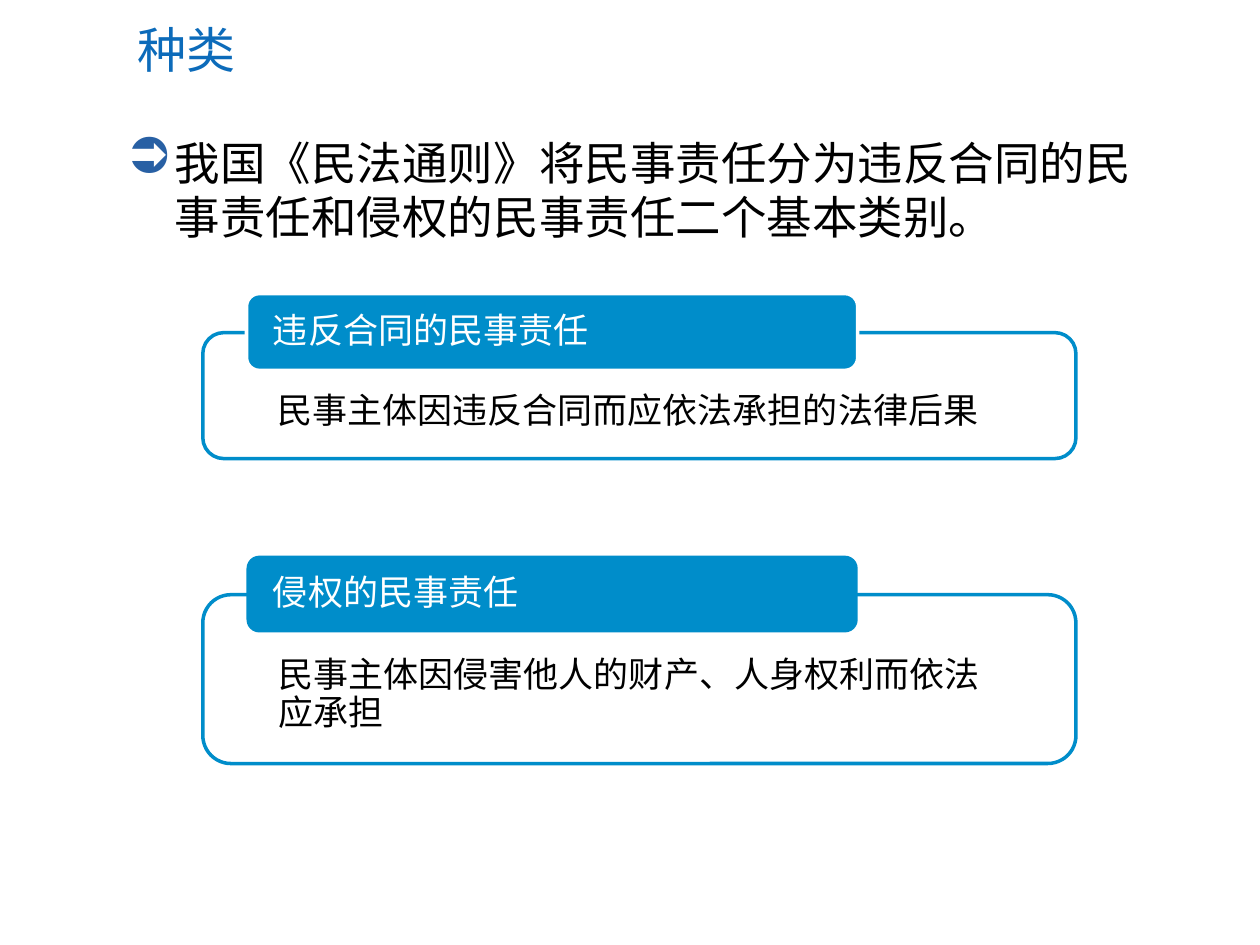
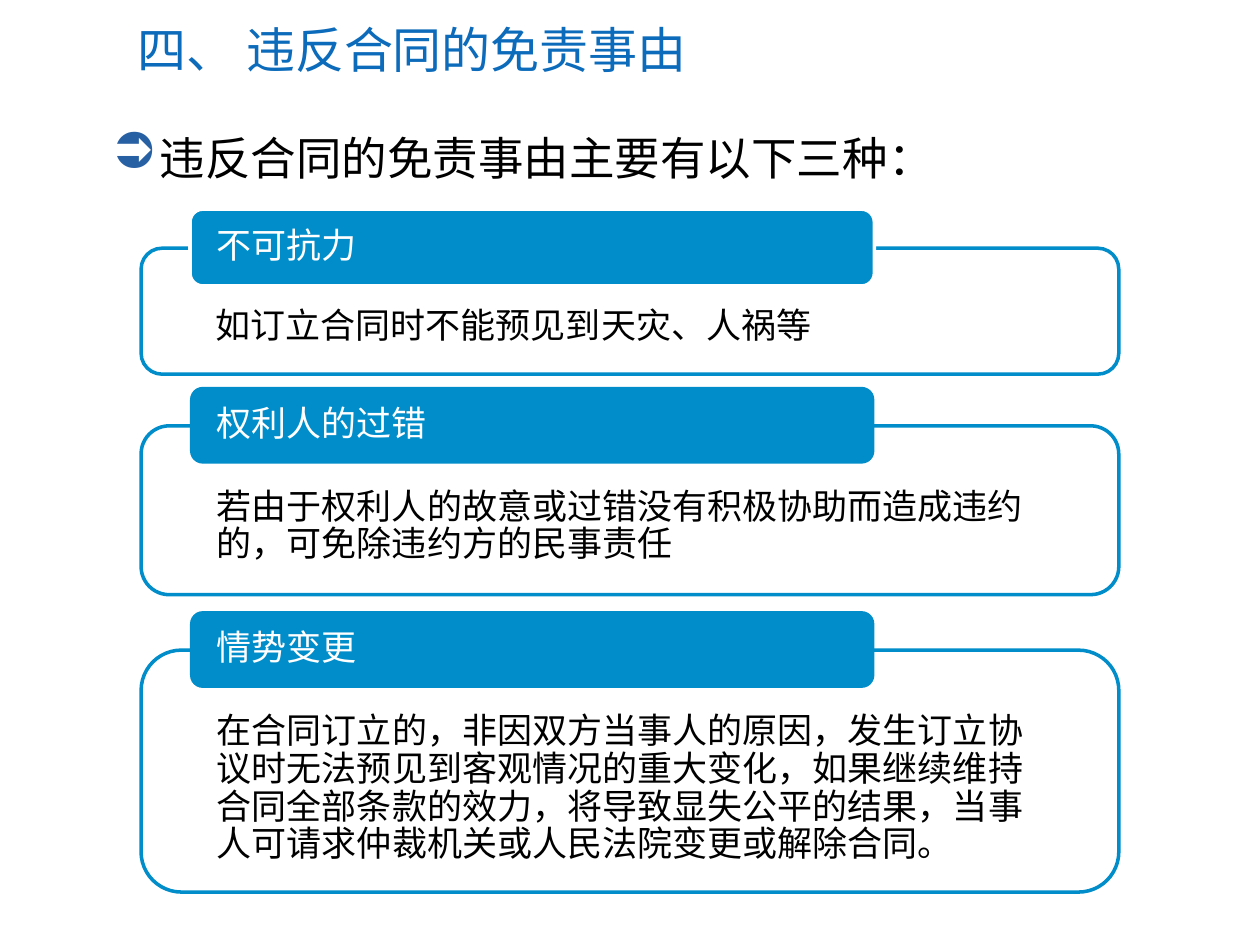
from lxml import etree
from pptx import Presentation
from pptx import util as u
from pptx.dml.color import RGBColor
from pptx.enum import shapes, text
from pptx.oxml.ns import qn

COLOURS = {"title": "0C6BBA", "panel": "008DCA", "bullet": "2860A4",
           "ink": "000000", "paper": "FFFFFF"}
FONT = "Calibri"
COLUMNS, ROWS = 100, 75
CORNER = 1 / 6            # corner radius as a share of the shorter side
TEXT_INSET = 0.29         # share of the radius that a rounded box adds to its margins
TAB_HEIGHT, TAB_RISE = 6.1, 3.1
TAB_SHIFT, TAB_SHARE = 0.05, 0.7


def colour(name):
    return RGBColor.from_string(COLOURS[name])


def apply(target, values):
    for name, value in values.items():
        setattr(target, name, value)


class Slides:
    """Holds the deck, its style and the current page."""

    def __init__(self):
        self.deck = Presentation()
        self.deck.slide_width, self.deck.slide_height = u.Inches(10), u.Inches(7.5)
        self.page = None

    def place(self, left, top, width, height):
        column = self.deck.slide_width / COLUMNS
        row = self.deck.slide_height / ROWS
        return [round(n) for n in (left * column, top * row, width * column, height * row)]

    def label(self, box, words, size, ink, frame_format, para_format):
        frame = box.text_frame
        apply(frame, {"word_wrap": True, "auto_size": text.MSO_AUTO_SIZE.NONE,
                      **frame_format})
        para = frame.paragraphs[0]
        apply(para, {"alignment": text.PP_ALIGN.LEFT, **para_format})
        span = para.add_run()
        span.text = words
        apply(span.font, {"name": FONT, "size": u.Pt(size)})
        span.font.color.rgb = colour(ink)
        return para

    def start(self, words):
        """New page with its title."""
        self.page = self.deck.slides.add_slide(self.deck.slide_layouts[5])
        title = self.page.shapes.title
        apply(title, dict(zip(("left", "top", "width", "height"),
                              self.place(9.9, 1, 87.2, 5.8))))
        self.label(title, words, 28, "title",
                   {"vertical_anchor": text.MSO_ANCHOR.MIDDLE}, {})

    def lead(self, words, *area):
        """Opening statement with an arrow bullet."""
        box = self.page.shapes.add_textbox(*self.place(*area))
        para = self.label(box, words, 26, "ink",
                          {"auto_size": text.MSO_AUTO_SIZE.SHAPE_TO_FIT_TEXT},
                          {"space_before": u.Pt(6.5)})
        props = para._p.get_or_add_pPr()
        indent = u.Inches(0.38)
        props.set("marL", str(indent))
        props.set("indent", str(-indent))
        bullet_colour = etree.SubElement(props, qn("a:buClr"))
        etree.SubElement(bullet_colour, qn("a:srgbClr"), val=COLOURS["bullet"])
        etree.SubElement(props, qn("a:buSzPct"), val="110000")
        etree.SubElement(props, qn("a:buChar"), char="➲")

    def rounded(self, area, fill, outline, words, ink, margins, anchor, space_after):
        left, top, width, height = self.place(*area)
        box = self.page.shapes.add_shape(shapes.MSO_SHAPE.ROUNDED_RECTANGLE,
                                         left, top, width, height)
        box.shadow.inherit = False
        box.adjustments[0] = CORNER
        box.fill.solid()
        box.fill.fore_color.rgb = colour(fill)
        if outline:
            box.line.color.rgb = colour(outline)
            box.line.width = u.Pt(2)
        else:
            box.line.fill.background()
        extra = TEXT_INSET * CORNER * min(width, height)
        sides = ("margin_left", "margin_top", "margin_right", "margin_bottom")
        frame_format = {side: round(max(u.Inches(margin) - extra, 0))
                        for side, margin in zip(sides, margins)}
        self.label(box, words, 20, ink, {**frame_format, "vertical_anchor": anchor},
                   {"line_spacing": 0.9, "space_after": u.Pt(space_after)})
        return box

    def panel(self, heading, words, left, top, width, height, tab_outline=None):
        """Outlined frame with a heading tab over its top edge."""
        inset = (0.59, 0.48, 0.59, 0.2) if tab_outline else (0.6, 0.5, 0.6, 0.21)
        frame = self.rounded((left, top, width, height), "paper", "panel", words, "ink",
                             inset, text.MSO_ANCHOR.TOP, 3.7)
        tint = frame._element.spPr.find(qn("a:solidFill"))[0]
        etree.SubElement(tint, qn("a:alpha"), val="90000")
        tab = (left + TAB_SHIFT * width, top - TAB_RISE, TAB_SHARE * width, TAB_HEIGHT)
        self.rounded(tab, "panel", tab_outline, heading, "paper",
                     (0.21, 0.03, 0.21, 0.03), text.MSO_ANCHOR.MIDDLE, 8.8)


def main():
    slides = Slides()

    # Kinds of civil liability
    slides.start("种类")
    kinds = {"left": 16.1, "width": 69.3}
    slides.panel("违反合同的民事责任", "民事主体因违反合同而应依法承担的法律后果",
                 top=26.4, height=10, tab_outline="paper", **kinds)
    slides.panel("侵权的民事责任", "民事主体因侵害他人的财产、人身权利而依法应承担",
                 top=47.2, height=13.4, **kinds)
    slides.lead("我国《民法通则》将民事责任分为违反合同的民事责任和侵权的民事责任二个基本类别。",
                9.1, 10.2, 83.4, 9.7)

    # Grounds for exemption
    slides.start("四、 违反合同的免责事由")
    slides.lead("违反合同的免责事由主要有以下三种：", 7.9, 9.8, 83.4, 5.4)
    grounds = {"left": 11.2, "width": 77.6}
    slides.panel("不可抗力", "如订立合同时不能预见到天灾、人祸等",
                 top=19.7, height=10, tab_outline="paper", **grounds)
    slides.panel("权利人的过错",
                 "若由于权利人的故意或过错没有积极协助而造成违约的，可免除违约方的民事责任",
                 top=33.8, height=13.4, **grounds)
    slides.panel("情势变更",
                 "在合同订立的，非因双方当事人的原因，发生订立协议时无法预见到客观情况的重大变化，"
                 "如果继续维持合同全部条款的效力，将导致显失公平的结果，"
                 "当事人可请求仲裁机关或人民法院变更或解除合同。",
                 top=51.6, height=19.2, **grounds)

    slides.deck.save("out.pptx")


if __name__ == "__main__":
    main()
